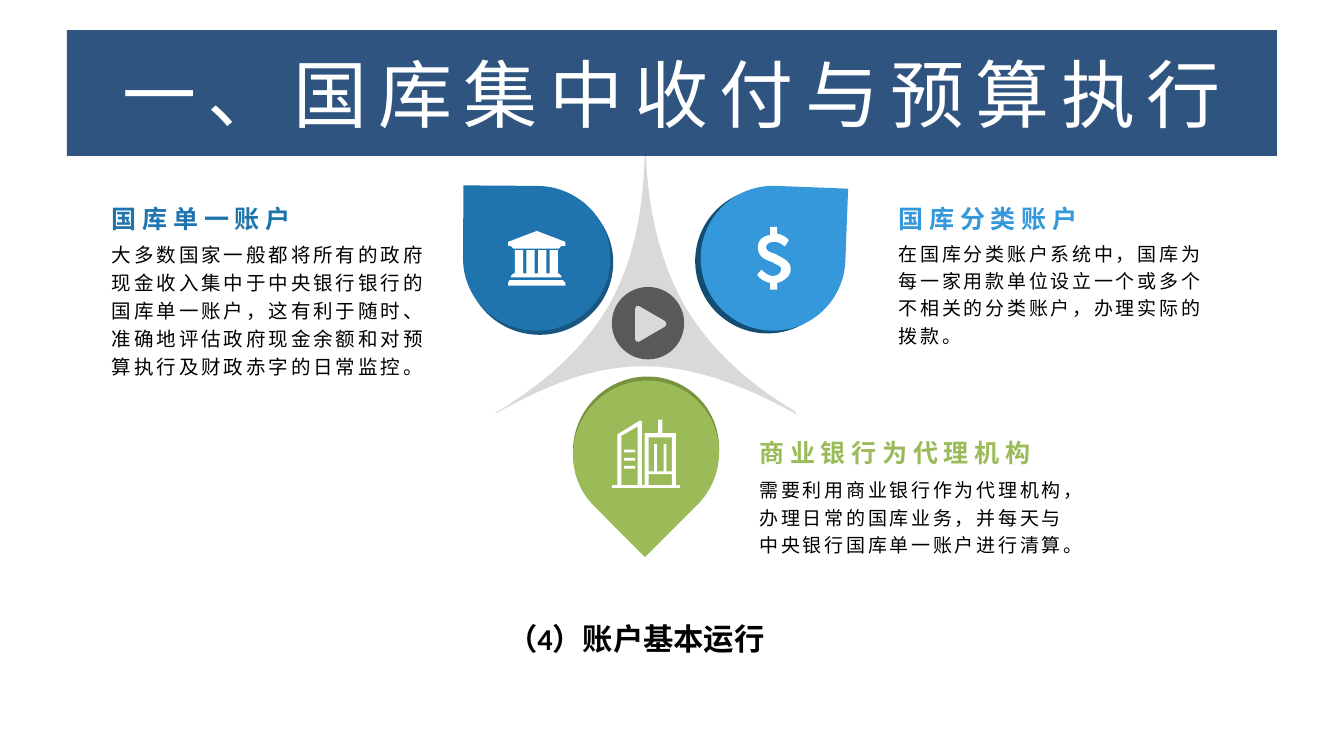
from dataclasses import dataclass
from typing import Optional

from lxml.etree import SubElement
from pptx import Presentation
from pptx.dml.color import RGBColor as RGB
from pptx.enum.shapes import MSO_SHAPE as Kind
from pptx.enum.text import MSO_ANCHOR as Anchor, MSO_AUTO_SIZE as Auto, PP_ALIGN as Align
from pptx.oxml.ns import qn
from pptx.util import Inches, Pt

WHITE, BLACK = RGB(255, 255, 255), RGB(0, 0, 0)
NAVY, GRAY, DARK = RGB(0x30, 0x54, 0x80), RGB(0xD9, 0xD9, 0xD9), RGB(0x59, 0x59, 0x59)
BLUE, DEEP = RGB(0x1F, 0x74, 0xAD), RGB(0x17, 0x57, 0x82)
SKY, INK = RGB(0x34, 0x98, 0xDB), RGB(0x14, 0x4D, 0x73)
GREEN, MOSS = RGB(0x9B, 0xBB, 0x59), RGB(0x77, 0x93, 0x3C)
SANS = "Noto Sans CJK SC"

# The slide is a grid of 984 columns and 551 rows
COLS, ROWS = 984, 551
deck = Presentation()
deck.slide_width, deck.slide_height = Inches(9.84), Inches(5.51)
CELL = deck.slide_width / COLS
slide = deck.slides.add_slide(deck.slide_layouts[5])
shapes = slide.shapes

# A step of two numbers is a point, a step of six is a Bezier curve
Path = tuple[tuple[float, ...], ...]


def grid(cells: float) -> int:
    return round(cells * CELL)


@dataclass
class Style:
    size: float
    color: RGB
    bold: bool = False
    gap: float = 0
    lead: Optional[float] = None
    align: Align = Align.LEFT
    face: str = SANS


@dataclass
class Drop:
    left: float
    top: float
    wide: float
    high: float
    turn: float
    color: RGB


@dataclass
class Note:
    left: float
    top: float
    drop: float
    head: str
    body: str
    color: RGB
    size: float = 10


def paint(shape, color: RGB) -> None:
    shape.shadow.inherit = False
    shape.fill.solid()
    shape.fill.fore_color.rgb = color
    shape.line.fill.background()


def write(shape, text: str, style: Style, pads: tuple, anchor: Anchor) -> None:
    frame = shape.text_frame
    frame.text = text
    frame.word_wrap, frame.auto_size = True, Auto.NONE
    frame.vertical_anchor = anchor
    (frame.margin_left, frame.margin_top,
     frame.margin_right, frame.margin_bottom) = map(grid, pads)
    para = frame.paragraphs[0]
    para.alignment = style.align
    if style.lead:
        para.line_spacing = style.lead
    font = para.font
    font.size, font.bold = Pt(style.size), style.bold
    font.color.rgb, font.name = style.color, style.face
    props = para._p.pPr.find(qn("a:defRPr"))
    props.set("spc", str(round(style.gap * 100)))
    SubElement(props, qn("a:ea")).set("typeface", SANS)


def label(left: float, top: float, wide: float, high: float, text: str,
          style: Style, pads: tuple, anchor: Anchor = Anchor.TOP):
    box = shapes.add_textbox(*map(grid, (left, top, wide, high)))
    write(box, text, style, pads, anchor)
    return box


def flat(path: Path) -> list[tuple[int, int]]:
    """Turn points and curves into short straight steps."""
    dots = []
    for step in path:
        if len(step) == 2:
            dots.append(step)
            continue
        pole = [dots[-1], step[:2], step[2:4], step[4:]]
        for k in range(1, 13):
            t = k / 12
            part = ((1 - t) ** 3, 3 * t * (1 - t) ** 2, 3 * t * t * (1 - t), t ** 3)
            dots.append(tuple(sum(w * p[i] for w, p in zip(part, pole)) for i in (0, 1)))
    return [(grid(x), grid(y)) for x, y in dots]


def form(color: RGB, *paths: Path) -> None:
    first, *rest = map(flat, paths)
    pen = shapes.build_freeform(*first[0])
    pen.add_line_segments(first[1:])
    for dots in rest:
        pen.move_to(*dots[0])
        pen.add_line_segments(dots[1:])
    paint(pen.convert_to_shape(), color)


def block(left: float, top: float, right: float, low: float) -> Path:
    return (left, top), (right, top), (right, low), (left, low)


# Three-armed star
form(GRAY, ((472, 110), (473, 114), (474, 144, 480, 187, 502, 225),
            (524, 262, 557, 286, 582, 301), (583, 303), (581, 302),
            (555, 288, 515, 268, 471, 268), (427, 268, 390, 288, 364, 302),
            (362, 303), (363, 302), (388, 287, 423, 262, 445, 225),
            (467, 187, 471, 145, 472, 115)))

# Drops, each with a darker one behind
for drop in (
    Drop(342, 138, 106, 108, 270.4, DEEP), Drop(340, 135, 106, 108, 270.4, BLUE),
    Drop(509, 138, 106, 106, 2.2, INK), Drop(513, 136, 106, 106, 2.2, SKY),
    Drop(419, 276, 108, 106, 135.1, MOSS), Drop(419, 279, 108, 106, 135.1, GREEN),
):
    tear = shapes.add_shape(Kind.TEAR, *map(grid, (drop.left, drop.top, drop.wide, drop.high)))
    tear.rotation = drop.turn
    paint(tear, drop.color)

# Play button
paint(shapes.add_shape(Kind.OVAL, *map(grid, (448, 210, 53, 53))), DARK)
form(GRAY, ((465, 226), (466, 224), (468, 224), (487, 235), (488, 237),
            (487, 239), (468, 250), (466, 250), (465, 248)))

# Bank icon
form(WHITE,
     ((372, 177), (393, 169), (414, 177), (414, 180), (411, 180),
      (409, 182), (376, 182), (374, 180), (372, 180)),
     *(block(377 + 8.5 * k, 183, 383 + 8.5 * k, 200) for k in range(4)),
     ((376, 200), (409, 200), (411, 202), (411, 203), (374, 203), (374, 202)),
     ((373, 205), (412, 205), (414, 207), (414, 209), (372, 209), (372, 207)))

# Dollar icon
form(WHITE, ((569, 207), (569, 212), (564, 212), (564, 207),
             (558, 206, 555, 202, 555, 202), (554.5, 201), (557, 198), (558, 197.5),
             (558, 198, 562, 202, 566, 202), (569, 202, 572, 200, 572, 197),
             (572, 194, 568, 194, 566, 192), (560, 190, 555, 188, 555, 181),
             (555, 176, 558, 173, 564, 172), (564, 166), (569, 166), (569, 171),
             (574, 172, 577, 175, 577, 175), (577.5, 176), (575, 180), (574, 180),
             (574, 180, 571, 177, 567, 177), (563, 177, 561, 179, 561, 181),
             (561, 184, 565, 185, 568, 186), (573, 189, 579, 191, 579, 197),
             (579, 202, 574, 206, 569, 207)))

# City icon: ground, left tower, right tower, mast, windows
form(WHITE,
     block(448, 355, 498, 357),
     ((452, 355), (452, 318), (468, 308), (470, 308), (470, 355)),
     ((455, 355), (455, 319), (467, 312), (467, 355)),
     block(472, 317, 495, 355), block(475, 320, 492, 345), block(475, 347, 492, 355),
     block(482, 307, 485, 317),
     *(block(x, 325, x + 2, 345) for x in (479, 486)),
     *(block(457, y, 465, y + 2) for y in (329, 335, 341)))

# Notes: heading and body
for note in (
    Note(75, 139, 35, "国库单一账户", "大多数国家一般都将所有的政府现金收入集中于中央银行银行的国库单一账户，"
         "这有利于随时、准确地评估政府现金余额和对预算执行及财政赤字的日常监控。", BLUE, 10.3),
    Note(651, 139, 35, "国库分类账户", "在国库分类账户系统中，国库为每一家用款单位设立一个或多个"
         "不相关的分类账户，办理实际的拨款。", SKY),
    Note(549, 310, 37, "商业银行为代理机构", "需要利用商业银行作为代理机构，办理日常的国库业务，"
         "并每天与中央银行国库单一账户进行清算。", GREEN),
):
    label(note.left, note.top, 244, 32, note.head,
          Style(13.2, note.color, True, 3, 1.2), (7, 4, 7, 0), Anchor.BOTTOM)
    label(note.left, note.top + note.drop, 244, 51, note.body,
          Style(note.size, BLACK, False, 1.5, 1.2), (7, 0, 7, 4))

# Caption
foot = label(23, 449, 841, 37, "（4）账户基本运行",
             Style(16, BLACK, True, align=Align.CENTER, face="Calibri"), (10, 5, 10, 5))
foot.text_frame.paragraphs[0]._p.pPr.set("indent", str(grid(44)))

# Title band, in front of the star
title = shapes.title
title.left, title.top, title.width, title.height = map(grid, (49, 22, 886, 92))
title.fill.solid()
title.fill.fore_color.rgb = NAVY
write(title, "一、国库集中收付与预算执行",
      Style(39, WHITE, gap=6, align=Align.CENTER), (9, 4, 9, 4), Anchor.MIDDLE)
shapes._spTree.append(title._element)

deck.save("out.pptx")
